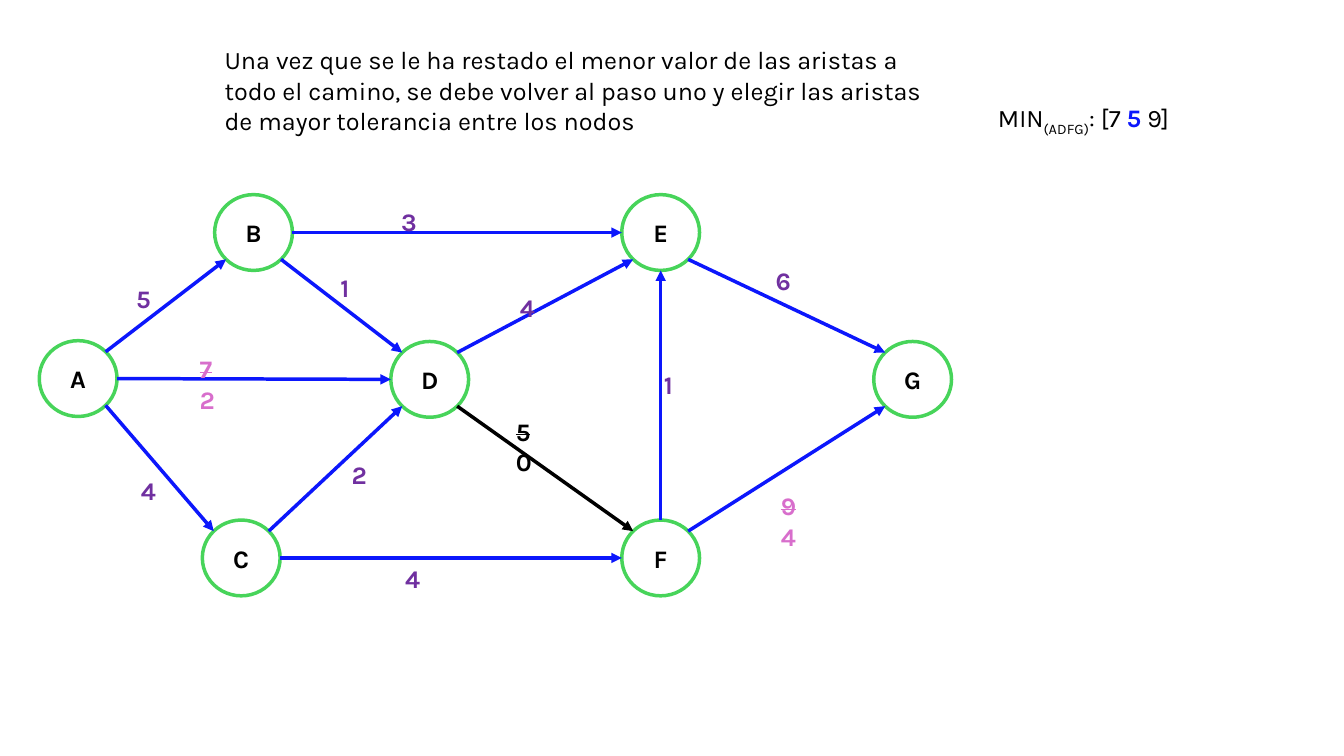
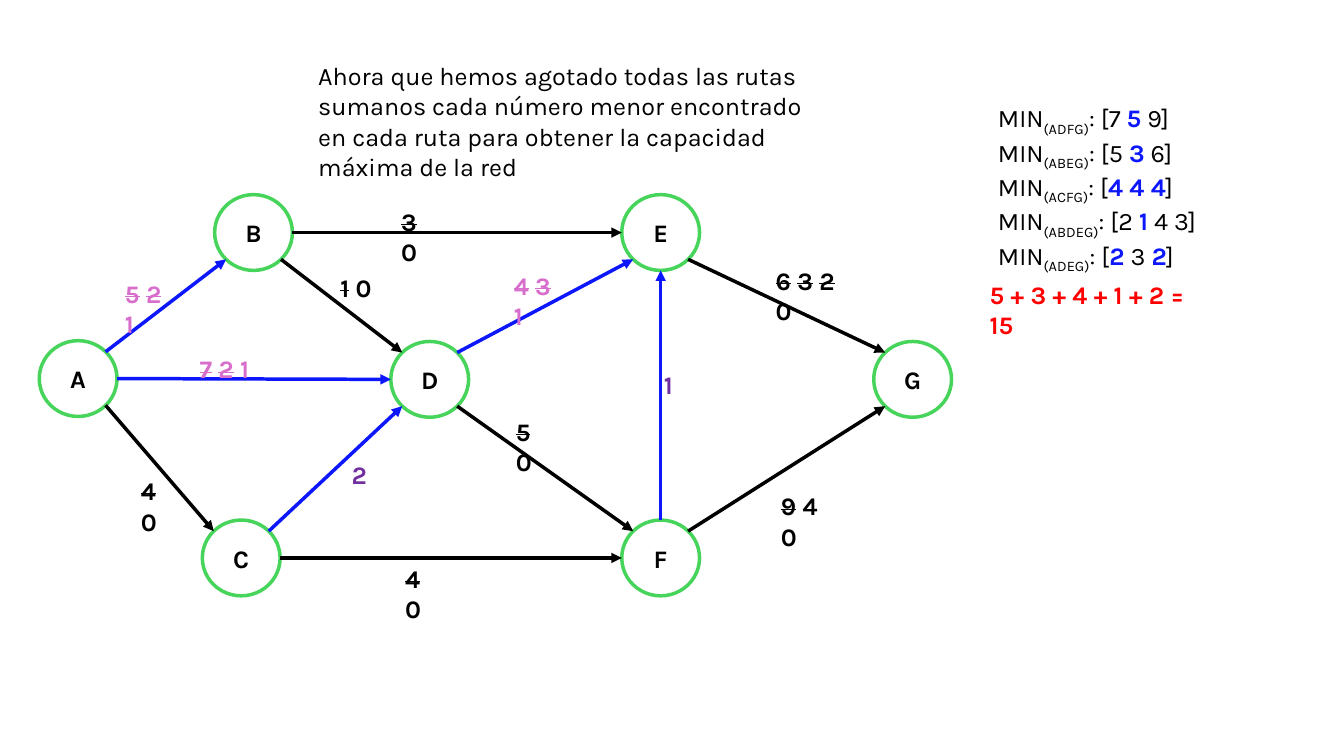
from math import sqrt

from lxml.etree import SubElement
from pptx import Presentation
from pptx.dml.color import RGBColor
from pptx.enum.shapes import MSO_CONNECTOR, MSO_SHAPE
from pptx.enum.text import MSO_ANCHOR, PP_ALIGN
from pptx.oxml.ns import qn
from pptx.util import Cm, Pt

HUES = {"node": "47D45A", "open": "0C17FC", "full": "000000", "first": "7030A0",
        "partial": "D86ECC", "total": "FF0000", "text": "000000", "back": "FFFFFF"}
FONT = "Karla"
SIZE = 18
LINE = 2.5

# Network geometry in cm, relative to its top left corner
WIDE, HIGH = 1.96, 1.91
NODES = {"A": (0.97, 4.64), "B": (5.39, 0.96), "C": (5.08, 9.16), "D": (9.83, 4.66),
         "E": (15.65, 0.96), "F": (15.65, 9.16), "G": (22, 4.66)}
DIAG = 1 / sqrt(2)
SIDES = {"n": (0, -1), "e": (1, 0), "s": (0, 1), "w": (-1, 0),
         "ne": (DIAG, -DIAG), "se": (DIAG, DIAG), "sw": (-DIAG, DIAG), "nw": (-DIAG, -DIAG)}
# Edge: side it leaves, side it enters, label place
EDGES = {"AB": ("ne", "sw", 2.18, 2.11), "AD": ("e", "w", 3.78, 3.89),
         "AC": ("se", "nw", 2.3, 6.96), "BE": ("e", "w", 8.86, 0.18),
         "CF": ("e", "w", 8.96, 9.17), "CD": ("ne", "sw", 7.61, 6.56),
         "BD": ("se", "nw", 7.33, 1.83), "DE": ("ne", "sw", 11.85, 2.34),
         "FG": ("ne", "sw", 18.43, 7.34), "FE": ("n", "s", 15.48, 4.29),
         "EG": ("se", "nw", 18.3, 1.65), "DF": ("se", "nw", 11.75, 5.46)}


def color(name):
    return RGBColor.from_string(HUES[name])


def add_run(para, text, hue="text", bold=False, strike=False, base=0):
    run = para.add_run()
    run.text = text
    font = run.font
    font.name, font.size, font.bold = FONT, Pt(SIZE), bold
    font.color.rgb = color(hue)
    props = run._r.get_or_add_rPr()
    if strike:
        props.set("strike", "sngStrike")
    if base:
        props.set("baseline", str(base * 1000))


def add_box(slide, box, text="", **style):
    frame = slide.shapes.add_textbox(*map(Cm, box)).text_frame
    frame.word_wrap = True
    if text:
        add_run(frame.paragraphs[0], text, **style)
    return frame


def add_node(shapes, name, x, y):
    node = shapes.add_shape(MSO_SHAPE.OVAL, Cm(x - WIDE / 2), Cm(y - HIGH / 2),
                            Cm(WIDE), Cm(HIGH))
    node.shadow.inherit = False
    node.fill.background()
    node.line.color.rgb = color("node")
    node.line.width = Pt(LINE)
    frame = node.text_frame
    frame.vertical_anchor = MSO_ANCHOR.MIDDLE
    frame.paragraphs[0].alignment = PP_ALIGN.CENTER
    add_run(frame.paragraphs[0], name, bold=True)


def add_arrow(shapes, start, end, hue):
    arrow = shapes.add_connector(MSO_CONNECTOR.STRAIGHT, *map(Cm, start + end))
    arrow.line.color.rgb = color(hue)
    arrow.line.width = Pt(LINE)
    SubElement(arrow.line._get_or_add_ln(), qn("a:tailEnd"), type="triangle")
    SubElement(arrow._element.spPr, qn("a:effectLst"))


def add_label(slide, x, y, value, extra=0):
    """Strike every capacity but the last one."""
    *old, last = value.split()
    hue = "full" if last == "0" else "partial" if old else "first"
    frame = add_box(slide, (x, y, 0.85 + 0.45 * len(old) + extra, 1.02))
    para = frame.paragraphs[0]
    for part in old:
        add_run(para, part, hue, bold=True, strike=True)
        add_run(para, " ", hue, bold=True)
    add_run(para, last, hue, bold=True)


def add_graph(slide, left, top, values, moves, extras):
    spots = {name: (left + x, top + y) for name, (x, y) in NODES.items()}

    def port(name, side):
        (x, y), (dx, dy) = spots[name], SIDES[side]
        return x + dx * WIDE / 2, y + dy * HIGH / 2

    # Nodes and arrows
    shapes = slide.shapes.add_group_shape().shapes
    for name, spot in spots.items():
        add_node(shapes, name, *spot)
    for edge, (out, into, *_) in EDGES.items():
        spent = values[edge].split()[-1] == "0"
        add_arrow(shapes, port(edge[0], out), port(edge[1], into),
                  "full" if spent else "open")
    # Capacities
    for edge, (*_, x, y) in EDGES.items():
        x, y = moves.get(edge, (x, y))
        add_label(slide, left + x, top + y, values[edge], extras.get(edge, 0))


def add_mins(slide, box, routes):
    """List the routes; values between stars are the lowest ones."""
    frame = add_box(slide, box)
    for i, (route, value) in enumerate(routes):
        para = frame.add_paragraph() if i else frame.paragraphs[0]
        add_run(para, "MIN")
        add_run(para, f"({route})", base=-25)
        for j, part in enumerate(f": [{value}]".split("*")):
            low = j % 2 == 1
            add_run(para, part, "open" if low else "text", bold=low)


def add_step(deck, intro, box, values, routes, width, moves={}, extras={}, total=""):
    slide = deck.slides.add_slide(deck.slide_layouts[6])
    slide.background.fill.solid()
    slide.background.fill.fore_color.rgb = color("back")
    add_graph(slide, 1, 4.9, values, moves, extras)
    add_box(slide, box, intro)
    add_mins(slide, (24.9, 2.46, width, 0.2 + 0.8 * len(routes)), routes)
    if total:
        add_box(slide, (24.69, 6.91, 5.84, 1.02), total, hue="total", bold=True)


def main():
    deck = Presentation()
    deck.slide_width, deck.slide_height = Cm(33.87), Cm(19.05)
    routes = [("ADFG", "7 *5* 9"), ("ABEG", "5 *3* 6"), ("ACFG", "*4 4 4*"),
              ("ABDEG", "2 *1* 4 3"), ("ADEG", "*2* 3 *2*")]

    # First route
    add_step(deck, "Una vez que se le ha restado el menor valor de las aristas a todo el "
             "camino, se debe volver al paso uno y elegir las aristas de mayor tolerancia "
             "entre los nodos", (5.41, 1, 18.24, 2.56),
             {"AB": "5", "AD": "7 2", "AC": "4", "BE": "3", "CF": "4", "CD": "2",
              "BD": "1", "DE": "4", "FG": "9 4", "FE": "1", "EG": "6", "DF": "5 0"},
             routes[:1], 4.98)

    # All routes used up
    add_step(deck, "Ahora que hemos agotado todas las rutas sumanos cada número menor "
             "encontrado en cada ruta para obtener la capacidad máxima de la red",
             (7.77, 1.4, 13.46, 3.33),
             {"AB": "5 2 1", "AD": "7 2 1", "AC": "4 0", "BE": "3 0", "CF": "4 0",
              "CD": "2", "BD": "1 0", "DE": "4 3 1", "FG": "9 4 0", "FE": "1",
              "EG": "6 3 2 0", "DF": "5 0"},
             routes, 5.64, moves={"AB": (1.9, 1.98), "DE": (11.7, 1.78)},
             extras={"AD": 0.15, "BD": 0.15}, total="5 + 3 + 4 + 1 + 2 = 15")
    deck.save("out.pptx")


if __name__ == "__main__":
    main()
